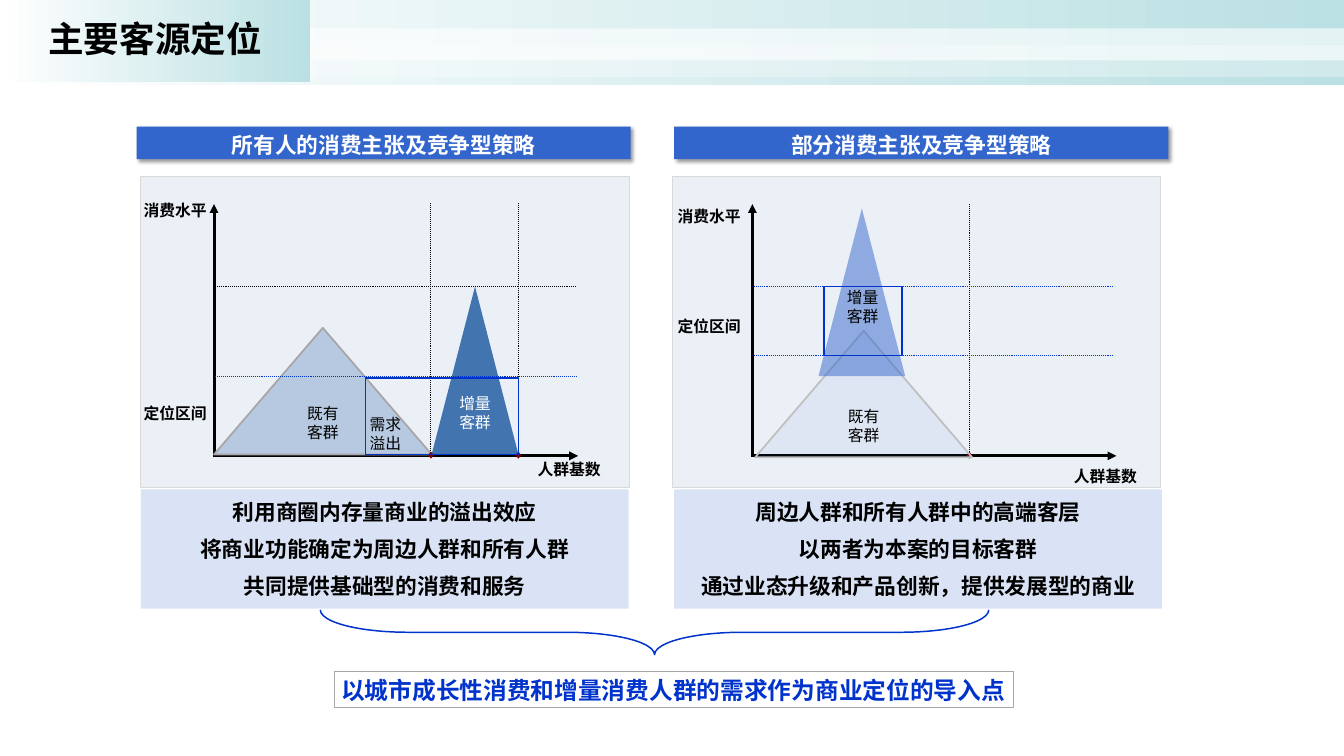
from lxml.etree import SubElement
from pptx import Presentation
from pptx.dml.color import RGBColor
from pptx.enum.dml import MSO_LINE
from pptx.enum.shapes import MSO_CONNECTOR, MSO_SHAPE
from pptx.enum.text import MSO_ANCHOR, PP_ALIGN
from pptx.oxml.ns import qn
from pptx.util import Inches, Pt

COLORS = {
    "black": "000000", "white": "FFFFFF", "teal": "BBE0E3", "royal": "3366CC",
    "steel": "4274AF", "outline": "0033CC", "base": "4F81BD", "maroon": "800000",
    "pale": "D9D9D9", "silver": "BFBFBF", "gray": "A6A6A6",
}
CJK = "Noto Sans CJK SC"


def rgb(name):
    """Return the named colour."""
    return RGBColor.from_string(COLORS[name])


def write(shape, lines, size, color="black", bold=False, font=CJK, align=PP_ALIGN.CENTER,
          anchor=MSO_ANCHOR.MIDDLE, inset=(0, 0), gap=0, wrap=False):
    """Fill a shape with one paragraph per line."""
    frame = shape.text_frame
    frame.word_wrap = wrap
    frame.vertical_anchor = anchor
    frame.margin_left = frame.margin_right = Inches(inset[0])
    frame.margin_top = frame.margin_bottom = Inches(inset[1])
    frame.text = "\n".join(lines)
    for index, paragraph in enumerate(frame.paragraphs):
        paragraph.alignment = align
        if gap and index:
            paragraph.space_before = Pt(gap)
        paragraph.font.name = font
        paragraph.font.size = Pt(size)
        paragraph.font.bold = bold
        paragraph.font.color.rgb = rgb(color)


def paint(shape, fill=None, opacity=100, line=None, width=1.0):
    """Set a shape's fill, opacity and outline."""
    shape.shadow.inherit = False
    if fill:
        shape.fill.solid()
        shape.fill.fore_color.rgb = rgb(fill)
        if opacity < 100:
            tone = shape._element.spPr.find(qn("a:solidFill")).find(qn("a:srgbClr"))
            SubElement(tone, qn("a:alpha"), val=str(opacity * 1000))
    else:
        shape.fill.background()
    if line:
        shape.line.color.rgb = rgb(line)
        shape.line.width = Pt(width)
    else:
        shape.line.fill.background()


def add_block(slide, kind, box, **look):
    """Add a painted preset shape."""
    block = slide.shapes.add_shape(kind, *map(Inches, box))
    paint(block, **look)
    return block


def fade(shape):
    """Fade a shape from white to teal, left to right."""
    shape.fill.gradient()
    shape.fill.gradient_angle = 0
    for stop, color, position in zip(shape.fill.gradient_stops, ("white", "teal"), (0, 1)):
        stop.color.rgb = rgb(color)
        stop.position = position


def add_line(slide, start, end, color="black", width=1, arrow=False):
    """Add a dotted guide or a solid arrow."""
    line = slide.shapes.add_connector(MSO_CONNECTOR.STRAIGHT, *map(Inches, (*start, *end)))
    line.line.color.rgb = rgb(color)
    line.line.width = Pt(width)
    if arrow:
        SubElement(line.line._get_or_add_ln(), qn("a:tailEnd"), type="triangle")
    else:
        line.line.dash_style = MSO_LINE.ROUND_DOT
    SubElement(line._element.spPr, qn("a:effectLst"))


def add_label(slide, box, lines, **style):
    """Add a text box."""
    label = slide.shapes.add_textbox(*map(Inches, box))
    write(label, lines, 16, **style)


def add_marker(slide, x, y):
    """Add a small diamond centred on a point."""
    points = [(Inches(x + dx), Inches(y + dy))
              for dx, dy in ((0, -0.05), (0.04, 0), (0, 0.05), (-0.04, 0))]
    builder = slide.shapes.build_freeform(*points[0])
    builder.add_line_segments(points[1:], close=True)
    paint(builder.convert_to_shape(), fill="maroon")


def add_title_bar(slide, width):
    """Place the page band and the title over it."""
    fade(add_block(slide, MSO_SHAPE.RECTANGLE, (0, 0, width, 1.19)))
    for top, opacity in ((0.4, 60), (0.63, 31)):
        add_block(slide, MSO_SHAPE.RECTANGLE, (0, top, width, 0.45),
                  fill="white", opacity=opacity)
    title = slide.shapes.title
    title.left, title.top, title.width, title.height = map(Inches, (0, 0, 4.36, 1.15))
    fade(title)
    write(title, ["主要客源定位"], 36, bold=True, inset=(0.1, 0.05), wrap=True)
    title.text_frame.paragraphs[0].line_spacing = 0.9
    slide.shapes._spTree.append(title._element)


def add_strategy_text(slide, header_left, text_left, header, lines):
    """Place a strategy's header bar and its explanation."""
    bar = add_block(slide, MSO_SHAPE.RECTANGLE, (header_left, 1.78, 6.95, 0.46), fill="royal")
    write(bar, [header], 22, "white", True, "Calibri", anchor=MSO_ANCHOR.TOP,
          inset=(0.17, 0.08), wrap=True)
    effects = bar._element.spPr.find(qn("a:effectLst"))
    shadow = SubElement(effects, qn("a:outerShdw"), blurRad=str(Pt(4)), dist=str(Pt(3)),
                        dir="2700000", algn="tl", rotWithShape="0")
    tone = SubElement(shadow, qn("a:srgbClr"), val=COLORS["black"])
    SubElement(tone, qn("a:alpha"), val="40000")
    body = add_block(slide, MSO_SHAPE.RECTANGLE, (text_left, 6.88, 6.86, 1.68),
                     fill="royal", opacity=18)
    write(body, lines, 22, bold=True, font="Calibri", gap=11)


def add_axes(slide, left, top, axis, labels):
    """Place the chart panel, its two axes and their labels."""
    add_block(slide, MSO_SHAPE.RECTANGLE, (left, top, 6.87, 4.38),
              fill="steel", opacity=10, line="pale", width=0.75)
    x, base = left + axis, top + 3.93
    add_line(slide, (x, base + 0.01), (x, top + 0.39), width=3, arrow=True)
    add_line(slide, (x + 0.02, base), (x + 2.52, base), "base")
    add_line(slide, (x + 0.02, base), (x + 5.12, base), width=3, arrow=True)
    for text, (dx, dy) in zip(("消费水平", "定位区间", "人群基数"), labels):
        add_label(slide, (left + dx, top + dy, 1.29, 0.42), [text], bold=True,
                  align=PP_ALIGN.LEFT, inset=(0.08, 0.08), wrap=True)


def add_overflow_chart(slide, left, top):
    """Place the chart of existing, overflowing and added customers."""
    add_axes(slide, left, top, 1.03, ((-0.04, 0.27), (-0.04, 3.12), (5.5, 3.91)))
    existing = add_block(slide, MSO_SHAPE.ISOSCELES_TRIANGLE, (left + 1.03, top + 2.13, 3.06, 1.78),
                         fill="steel", opacity=31, line="gray", width=1.75)
    write(existing, ["既有", "客群"], 16)
    added = add_block(slide, MSO_SHAPE.ISOSCELES_TRIANGLE, (left + 4.09, top + 1.55, 1.22, 2.36),
                      fill="steel")
    write(added, ["增量", "客群"], 16, "white")
    for x in (left + 4.08, left + 5.31):
        add_line(slide, (x, top + 0.38), (x, top + 3.92))
        add_marker(slide, x, top + 3.92)
    add_line(slide, (left + 1.04, top + 1.55), (left + 6.12, top + 1.55))
    add_block(slide, MSO_SHAPE.RECTANGLE, (left + 3.16, top + 2.83, 2.15, 1.08),
              line="outline", width=1.75)
    add_line(slide, (left + 1.05, top + 2.82), (left + 6.13, top + 2.82), "outline")
    add_label(slide, (left + 3.12, top + 3.3, 0.65, 0.64), ["需求", "溢出"],
              align=PP_ALIGN.LEFT, anchor=MSO_ANCHOR.TOP, inset=(0.1, 0.05))


def add_premium_chart(slide, left, top):
    """Place the chart of added customers above the existing ones."""
    add_axes(slide, left, top, 1.13, ((0, 0.35), (0, 1.89), (5.57, 4)))
    add_line(slide, (left + 4.18, top + 0.39), (left + 4.18, top + 3.93))
    add_marker(slide, left + 4.18, top + 3.92)
    existing = add_block(slide, MSO_SHAPE.ISOSCELES_TRIANGLE, (left + 1.17, top + 2.17, 3.05, 1.78),
                         fill="royal", opacity=7, line="silver", width=1.75)
    write(existing, ["既有", "客群"], 16)
    add_block(slide, MSO_SHAPE.ISOSCELES_TRIANGLE, (left + 2.06, top + 0.45, 1.22, 2.36),
              fill="royal", opacity=50)
    add_label(slide, (left + 2.26, top + 1.51, 0.84, 0.64), ["增量", "客群"],
              anchor=MSO_ANCHOR.TOP, inset=(0.1, 0.05), wrap=True)
    add_block(slide, MSO_SHAPE.RECTANGLE, (left + 2.14, top + 1.55, 1.09, 0.97),
              line="outline", width=1.75)
    for y in (top + 1.55, top + 2.52):
        add_line(slide, (left + 1.15, y), (left + 6.22, y), "outline")


def add_conclusion(slide, left, top):
    """Place the brace and the shared conclusion under it."""
    brace = add_block(slide, MSO_SHAPE.LEFT_BRACE, (left + 4.19, top - 5.25, 0.63, 9.4),
                      line="outline", width=1.5)
    brace.rotation = 270
    brace.adjustments[0] = 1.958
    result = add_block(slide, MSO_SHAPE.RECTANGLE, (left, top, 9.55, 0.51),
                       line="gray", width=0.75)
    write(result, ["以城市成长性消费和增量消费人群的需求作为商业定位的导入点"], 24, "outline", True,
          align=PP_ALIGN.LEFT, inset=(0.1, 0.05))


def main():
    """Build the customer positioning slide."""
    deck = Presentation()
    deck.slide_width, deck.slide_height = Inches(18.9), Inches(10.63)
    slide = deck.slides.add_slide(deck.slide_layouts[5])
    add_title_bar(slide, 18.9)
    add_overflow_chart(slide, 1.98, 2.48)
    add_premium_chart(slide, 9.45, 2.48)
    add_strategy_text(slide, 1.92, 1.98, "所有人的消费主张及竞争型策略", [
        "利用商圈内存量商业的溢出效应", "将商业功能确定为周边人群和所有人群", "共同提供基础型的消费和服务"])
    add_strategy_text(slide, 9.48, 9.48, "部分消费主张及竞争型策略", [
        "周边人群和所有人群中的高端客层", "以两者为本案的目标客群", "通过业态升级和产品创新，提供发展型的商业"])
    add_conclusion(slide, 4.7, 9.44)
    deck.save("out.pptx")


main_guard = __name__ == "__main__"
if __name__ == "__main__":
    main()
